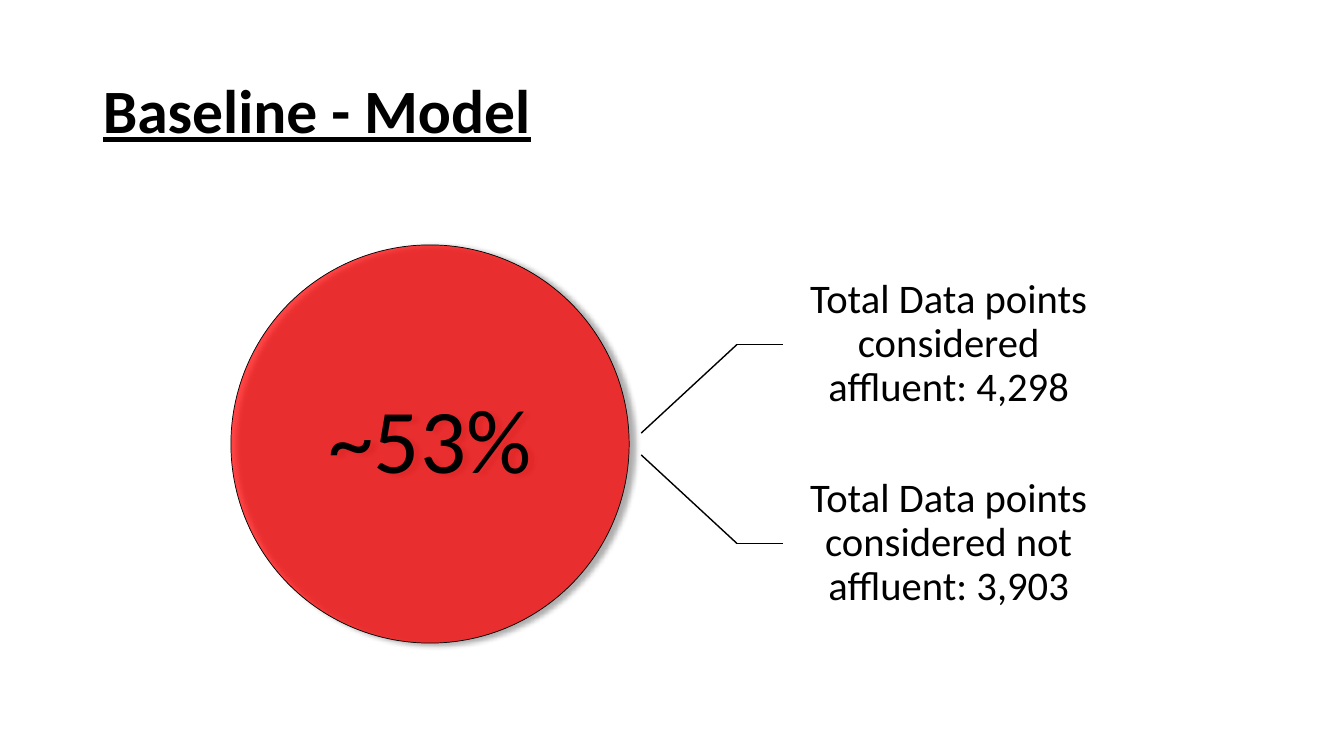
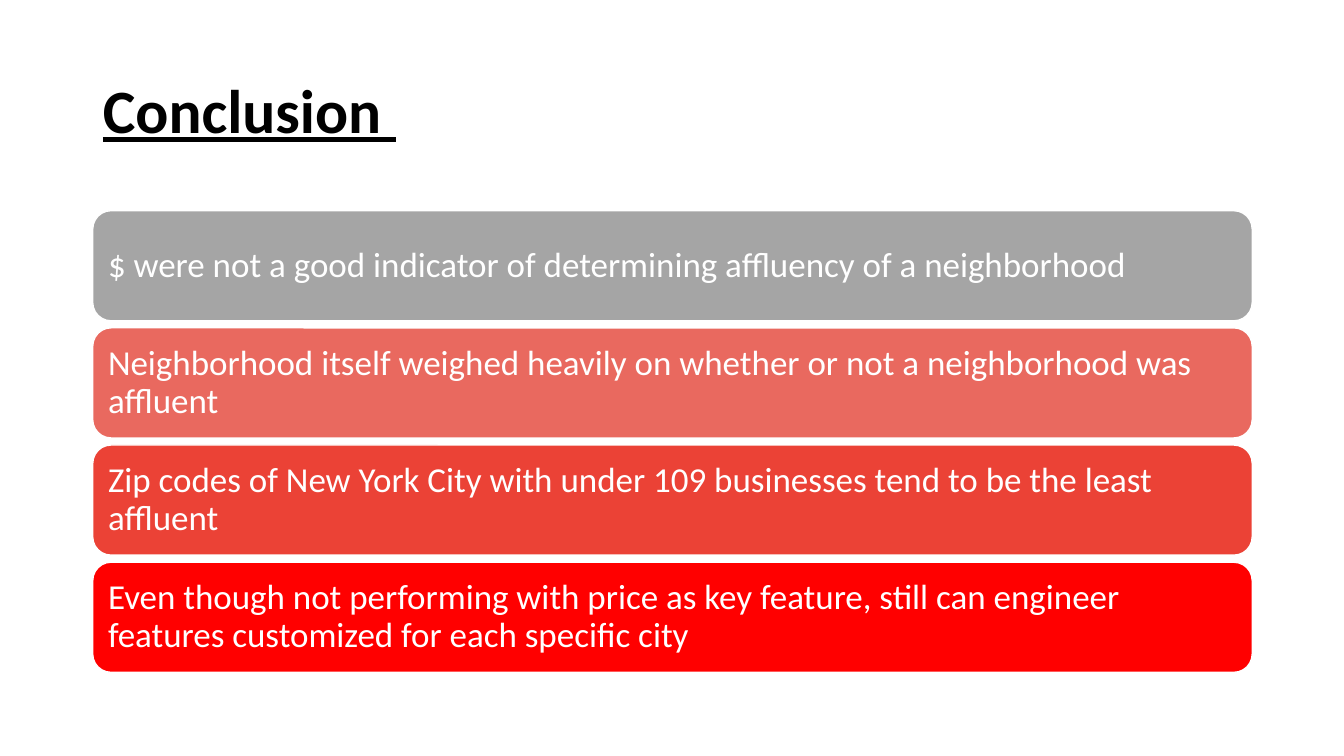
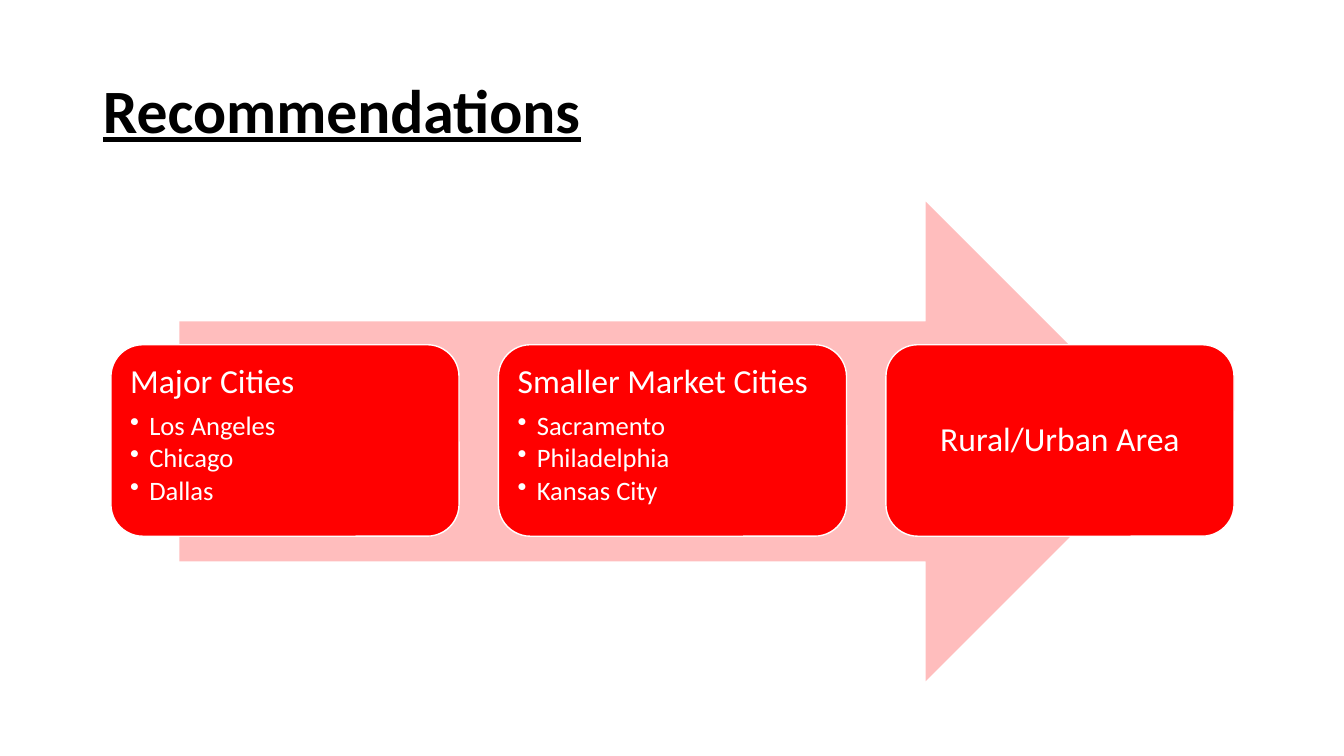
from lxml.etree import SubElement
from pptx import Presentation
from pptx.dml.color import RGBColor
from pptx.enum.shapes import MSO_CONNECTOR as Connector, MSO_SHAPE as Preset
from pptx.enum.text import MSO_ANCHOR as Anchor, MSO_AUTO_SIZE as AutoSize, PP_ALIGN as Align
from pptx.oxml.ns import qn
from pptx.util import Inches, Pt

FONT = "Calibri"
BLACK, WHITE, RED = "000000", "FFFFFF", "FF0000"
TITLE_BOX = (0.92, 0.4, 11.5, 1.45)


def color(value):
    """Turn a hex string into a colour."""
    return RGBColor.from_string(value)


def add_alpha(parent, percent):
    """Set the opacity of the first colour inside an element."""
    tint = next(parent.iter(qn("a:srgbClr")))
    SubElement(tint, qn("a:alpha"), val=str(percent * 1000))


def add_run(para, text, size, ink, strong=False):
    """Add one formatted run to a paragraph."""
    span = para.add_run()
    span.text = text
    font = span.font
    font.name, font.size, font.color.rgb = FONT, Pt(size), color(ink)
    font.bold = font.underline = strong


def add_bullet(para, indent):
    """Give a paragraph a hanging bullet."""
    props = para._p.get_or_add_pPr()
    props.set("marL", str(Inches(indent)))
    props.set("indent", str(-Inches(indent)))
    SubElement(props, qn("a:buChar"), char="•")


def write(shape, lines, ink, align=Align.LEFT, anchor=Anchor.MIDDLE, inset=0.1):
    """Fill a shape with lines of (text, size, bulleted)."""
    frame = shape.text_frame
    frame.word_wrap = True
    frame.vertical_anchor = anchor
    frame.margin_left = frame.margin_right = Inches(inset)
    frame.margin_top = frame.margin_bottom = Inches(inset)
    for index, (text, size, bulleted) in enumerate(lines):
        para = frame.add_paragraph() if index else frame.paragraphs[0]
        if bulleted:
            add_bullet(para, 0.19)
        para.alignment = align
        para.line_spacing = 0.9
        para.space_after = Pt(round(size * (0.15 if bulleted else 0.35), 1))
        add_run(para, text, size, ink)


def add_preset(page, kind, box, fill, line=None, width=1):
    """Add a flat preset shape."""
    shape = page.shapes.add_shape(kind, *map(Inches, box))
    shape.shadow.inherit = False
    shape.fill.solid()
    shape.fill.fore_color.rgb = color(fill)
    if line:
        shape.line.color.rgb = color(line)
        shape.line.width = Pt(width)
    else:
        shape.line.fill.background()
    return shape


def add_line(page, start, end):
    """Draw a thin black line between two points."""
    line = page.shapes.add_connector(Connector.STRAIGHT, *map(Inches, start + end))
    line.line.color.rgb = color(BLACK)
    line.line.width = Pt(1)
    SubElement(line._element.spPr, qn("a:effectLst"))


def add_page(deck, title):
    """Add a slide with the shared underlined title."""
    page = deck.slides.add_slide(deck.slide_layouts[5])
    holder = page.shapes.title
    holder.left, holder.top, holder.width, holder.height = map(Inches, TITLE_BOX)
    frame = holder.text_frame
    frame.auto_size = AutoSize.NONE
    frame.vertical_anchor = Anchor.MIDDLE
    para = frame.paragraphs[0]
    para.alignment = Align.LEFT
    para.line_spacing = 0.9
    add_run(para, title, 44, BLACK, strong=True)
    return page


def add_share_circle(page, box, text):
    """Draw the translucent circle with its shadow and share."""
    circle = add_preset(page, Preset.OVAL, box, RED, BLACK, 0.5)
    add_alpha(circle._element.spPr, 73)
    effects = circle._element.spPr.find(qn("a:effectLst"))
    shadow = SubElement(effects, qn("a:outerShdw"), blurRad=str(Pt(4)), dist=str(Pt(4)),
                        dir=str(20 * 60000), algn="tl", rotWithShape="0")
    SubElement(shadow, qn("a:srgbClr"), val=BLACK)
    add_alpha(shadow, 43)
    write(circle, [(text, 65, False)], BLACK, Align.CENTER, inset=0)


def add_branches(page, box, texts):
    """Fan out from the left middle of a box to stacked labels."""
    left, top, width, height = box
    middle = top + height / 2
    label_height = height / len(texts)
    elbow, label_left = left + 0.95, left + 1.41
    for index, text in enumerate(texts):
        label_top = top + index * label_height
        center = label_top + label_height / 2
        start = middle + (center - middle) * 0.11
        add_line(page, (left, start), (elbow, center))
        add_line(page, (elbow, center), (label_left, center))
        label_box = (label_left, label_top, left + width - label_left, label_height)
        label = page.shapes.add_textbox(*map(Inches, label_box))
        write(label, [(text, 29, False)], BLACK, Align.CENTER, inset=0.23)


def add_bars(page, box, bars, gap):
    """Stack equal rounded bars of (fill, text) in a box."""
    left, top, width, height = box
    bar_height = (height - gap * (len(bars) - 1)) / len(bars)
    for index, (fill, text) in enumerate(bars):
        bar_box = (left, top + index * (bar_height + gap), width, bar_height)
        bar = add_preset(page, Preset.ROUNDED_RECTANGLE, bar_box, fill, WHITE)
        write(bar, [(text, 25, False)], WHITE)


def add_cards(page, box, cards, gap):
    """Place equal cards of (heading, places) side by side in a box."""
    left, top, width, height = box
    card_width = (width - gap * (len(cards) - 1)) / len(cards)
    for index, (heading, places) in enumerate(cards):
        card_box = (left + index * (card_width + gap), top, card_width, height)
        card = add_preset(page, Preset.ROUNDED_RECTANGLE, card_box, RED, WHITE)
        lines = [(heading, 24, False)] + [(place, 19, True) for place in places]
        align, anchor = (Align.LEFT, Anchor.TOP) if places else (Align.CENTER, Anchor.MIDDLE)
        write(card, lines, WHITE, align, anchor)


def build_baseline(deck):
    """Build the baseline slide."""
    page = add_page(deck, "Baseline - Model")
    add_share_circle(page, (2.29, 2.43, 3.95, 3.95), "~53%")
    add_branches(page, (6.36, 2.43, 4.69, 3.95), [
        "Total Data points considered affluent: 4,298",
        "Total Data points considered not affluent: 3,903",
    ])


def build_conclusion(deck):
    """Build the conclusion slide."""
    page = add_page(deck, "Conclusion ")
    add_bars(page, (0.92, 2.09, 11.5, 4.58), [
        ("A5A5A5", "$ were not a good indicator of determining affluency of a neighborhood"),
        ("E9695F", "Neighborhood itself weighed heavily on whether or not a neighborhood was affluent"),
        ("EB4236", "Zip codes of New York City with under 109 businesses tend to be the least affluent"),
        (RED, "Even though not performing with price as key feature, still can engineer "
              "features customized for each specific city"),
    ], 0.07)


def build_recommendations(deck):
    """Build the recommendations slide."""
    page = add_page(deck, "Recommendations")
    arrow = add_preset(page, Preset.RIGHT_ARROW, (1.78, 2, 9.78, 4.76), RED)
    add_alpha(arrow._element.spPr, 26)
    add_cards(page, (1.1, 3.42, 11.14, 1.9), [
        ("Major Cities", ["Los Angeles", "Chicago", "Dallas"]),
        ("Smaller Market Cities", ["Sacramento", "Philadelphia", "Kansas City"]),
        ("Rural/Urban Area", []),
    ], 0.39)


def main():
    """Build and save the deck."""
    deck = Presentation()
    deck.slide_width, deck.slide_height = Inches(13.33), Inches(7.5)
    build_baseline(deck)
    build_conclusion(deck)
    build_recommendations(deck)
    deck.save("out.pptx")


if __name__ == "__main__":
    main()
